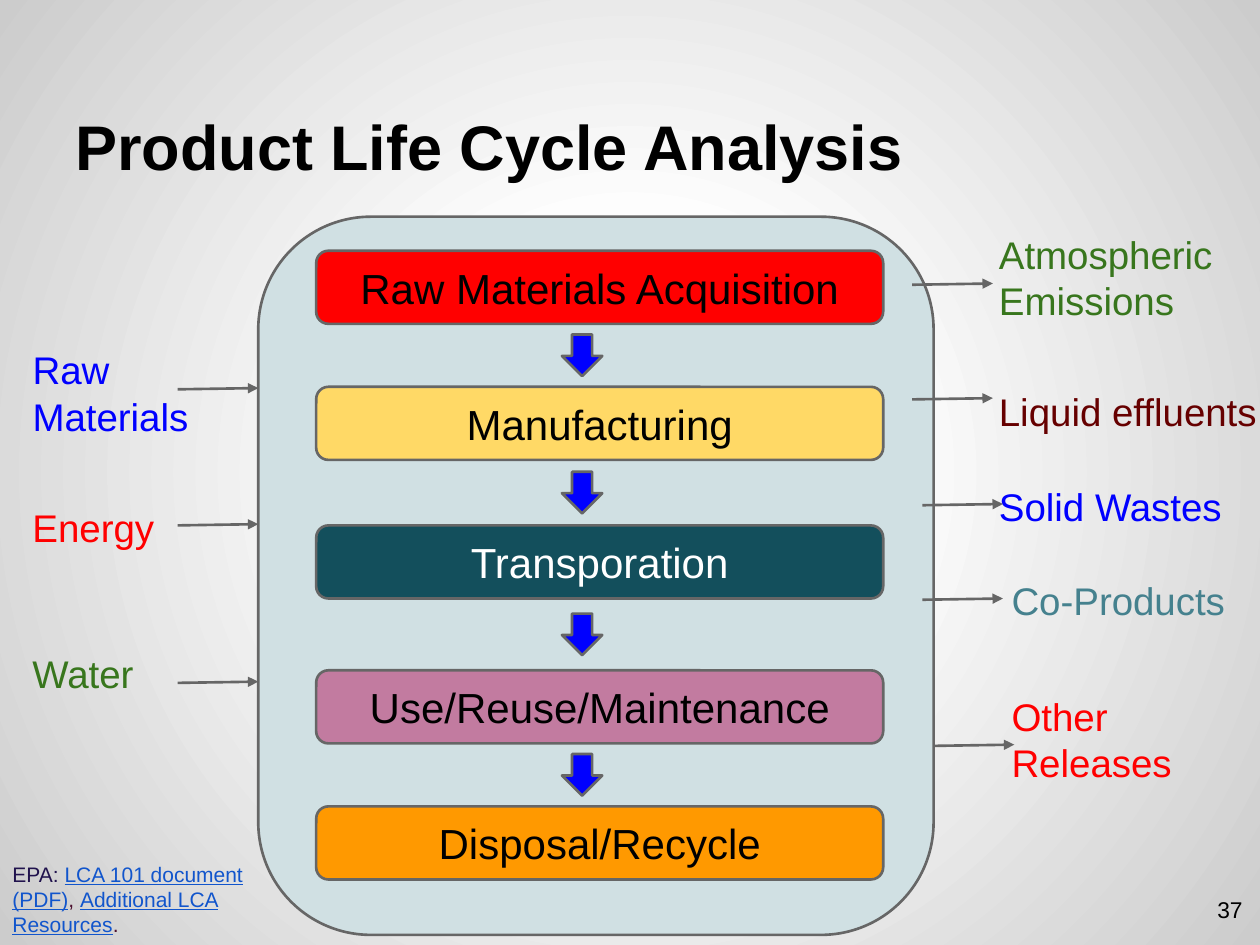
from itertools import pairwise

from lxml.etree import SubElement
from pptx import Presentation
from pptx.dml.color import RGBColor
from pptx.enum.shapes import MSO_CONNECTOR, MSO_SHAPE
from pptx.enum.text import MSO_ANCHOR as ANCHOR, PP_ALIGN as ALIGN
from pptx.oxml import parse_xml
from pptx.oxml.ns import nsdecls, qn
from pptx.util import Inches, Pt

COLS, ROWS = 100, 75
WIDTH, HEIGHT = Inches(10), Inches(7.5)

BLACK = RGBColor(0x00, 0x00, 0x00)
WHITE = RGBColor(0xFF, 0xFF, 0xFF)
GRAY = RGBColor(0x66, 0x66, 0x66)
PALE = RGBColor(0xD0, 0xE0, 0xE3)
RED = RGBColor(0xFF, 0x00, 0x00)
YELLOW = RGBColor(0xFF, 0xD9, 0x66)
PETROL = RGBColor(0x13, 0x4F, 0x5C)
MAUVE = RGBColor(0xC2, 0x7B, 0xA0)
ORANGE = RGBColor(0xFF, 0x99, 0x00)
BLUE = RGBColor(0x00, 0x00, 0xFF)
GREEN = RGBColor(0x38, 0x76, 0x1D)
MAROON = RGBColor(0x66, 0x00, 0x00)
TEAL = RGBColor(0x45, 0x81, 0x8E)
INDIGO = RGBColor(0x20, 0x12, 0x4D)
LINK = RGBColor(0x11, 0x55, 0xCC)
PLUM = RGBColor(0x4C, 0x11, 0x30)

STEP_LEFT, STEP_WIDTH, STEP_HEIGHT = 25.1, 45, 5.8
ARROW_LEFT, ARROW_WIDTH, ARROW_HEIGHT = 44.6, 3.2, 3.3
FLOW_LENGTH = 6.4
LABEL_HEIGHT = 8.5

STEPS = [
    ("Raw Materials Acquisition", 19.9, RED, BLACK),
    ("Manufacturing", 30.7, YELLOW, BLACK),
    ("Transporation", 41.7, PETROL, WHITE),
    ("Use/Reuse/Maintenance", 53.2, MAUVE, BLACK),
    ("Disposal/Recycle", 64, ORANGE, BLACK),
]
LABELS = [
    ("Atmospheric Emissions", 78.3, 17.3, 22.6, GREEN),
    ("Liquid effluents", 78.3, 29.8, 22.6, MAROON),
    ("Solid Wastes", 78.3, 37.3, 22.6, BLUE),
    ("Co-Products", 79.3, 44.8, 22.6, TEAL),
    ("Other Releases", 79.3, 54, 22.6, RED),
    ("Energy", 1.6, 39, 22.6, RED),
    ("Raw Materials", 1.6, 26.5, 18.8, BLUE),
    ("Water", 1.6, 50.6, 22.6, GREEN),
]
FLOWS = [
    (14.1, 30.9), (14.1, 41.7), (14.1, 54.2),
    (72.4, 22.6), (72.4, 31.7), (73.2, 40.1), (73.2, 47.6), (74.1, 59.2),
]
SOURCES = [
    ("EPA: ", INDIGO, False),
    ("LCA 101 document (PDF)", LINK, True),
    (", ", PLUM, False),
    ("Additional LCA Resources", LINK, True),
    (".", PLUM, False),
]


def col(n):
    return round(WIDTH * n / COLS)


def row(n):
    return round(HEIGHT * n / ROWS)


def box(left, top, width, height):
    return col(left), row(top), col(width), row(height)


def set_background(slide):
    stops = "".join(
        f'<a:gs pos="{pos}"><a:srgbClr val="{color}"/></a:gs>'
        for pos, color in ((0, "FFFFFF"), (30000, "FFFFFF"), (100000, "CCCCCC"))
    )
    bg = parse_xml(
        f'<p:bg {nsdecls("p", "a")}><p:bgPr><a:gradFill><a:gsLst>{stops}</a:gsLst>'
        '<a:path path="circle"><a:fillToRect l="50000" t="50000" r="50000" b="50000"/>'
        "</a:path></a:gradFill><a:effectLst/></p:bgPr></p:bg>"
    )
    slide.background.fill.background()
    old = slide.element.cSld.find(qn("p:bg"))
    old.getparent().replace(old, bg)


def style_run(r, size, color, bold=False, underline=False):
    r.font.name, r.font.size = "Arial", Pt(size)
    r.font.color.rgb = color
    r.font.bold, r.font.underline = bold, underline


def prepare_frame(sp, anchor):
    tf = sp.text_frame
    tf.word_wrap = True
    tf.vertical_anchor = anchor
    tf.margin_left = tf.margin_right = tf.margin_top = tf.margin_bottom = Inches(0.1)
    return tf


def write(sp, text, size, color, anchor=ANCHOR.TOP, align=ALIGN.LEFT, bold=False):
    tf = prepare_frame(sp, anchor)
    tf.text = text
    p = tf.paragraphs[0]
    p.alignment = align
    style_run(p.runs[0], size, color, bold)


def add_block(slide, kind, place, fill):
    sp = slide.shapes.add_shape(kind, *box(*place))
    sp.shadow.inherit = False
    sp.fill.solid()
    sp.fill.fore_color.rgb = fill
    sp.line.color.rgb = GRAY
    sp.line.width = Pt(1.5)
    return sp


def add_label(slide, place, text, size, color, **style):
    write(slide.shapes.add_textbox(*box(*place)), text, size, color, **style)


def add_flow(slide, left, top):
    line = slide.shapes.add_connector(
        MSO_CONNECTOR.STRAIGHT, col(left), row(top), col(left + FLOW_LENGTH), row(top - 0.1)
    )
    line.line.color.rgb = GRAY
    line.line.width = Pt(1.5)
    SubElement(line.line._get_or_add_ln(), qn("a:tailEnd"), type="triangle", w="med", len="med")
    SubElement(line._element.spPr, qn("a:effectLst"))


def add_sources(slide, place):
    sp = slide.shapes.add_textbox(*box(*place))
    p = prepare_frame(sp, ANCHOR.MIDDLE).paragraphs[0]
    for text, color, underline in SOURCES:
        r = p.add_run()
        r.text = text
        style_run(r, 12, color, underline=underline)


def main():
    prs = Presentation()
    prs.slide_width, prs.slide_height = WIDTH, HEIGHT
    slide = prs.slides.add_slide(prs.slide_layouts[6])
    set_background(slide)

    add_block(slide, MSO_SHAPE.FLOWCHART_ALTERNATE_PROCESS, (20.5, 17.2, 53.6, 57), PALE)
    add_label(slide, (5, 3, 90, 12.5), "Product Life Cycle Analysis", 36, BLACK,
              anchor=ANCHOR.BOTTOM, bold=True)
    for text, top, fill, color in STEPS:
        sp = add_block(slide, MSO_SHAPE.ROUNDED_RECTANGLE,
                       (STEP_LEFT, top, STEP_WIDTH, STEP_HEIGHT), fill)
        write(sp, text, 24, color, ANCHOR.MIDDLE, ALIGN.CENTER)
    for text, left, top, width, color in LABELS:
        add_label(slide, (left, top, width, LABEL_HEIGHT), text, 22, color)
    for left, top in FLOWS:
        add_flow(slide, left, top)
    for upper, lower in pairwise(STEPS):
        top = (upper[1] + STEP_HEIGHT + lower[1] - ARROW_HEIGHT) / 2
        add_block(slide, MSO_SHAPE.DOWN_ARROW,
                  (ARROW_LEFT, top, ARROW_WIDTH, ARROW_HEIGHT), BLUE)
    add_sources(slide, (0, 67.1, 20.5, LABEL_HEIGHT))
    add_label(slide, (93.6, 69.3, 6, 5.7), "37", 13, BLACK,
              anchor=ANCHOR.MIDDLE, align=ALIGN.RIGHT)

    prs.save("out.pptx")


if __name__ == "__main__":
    main()
